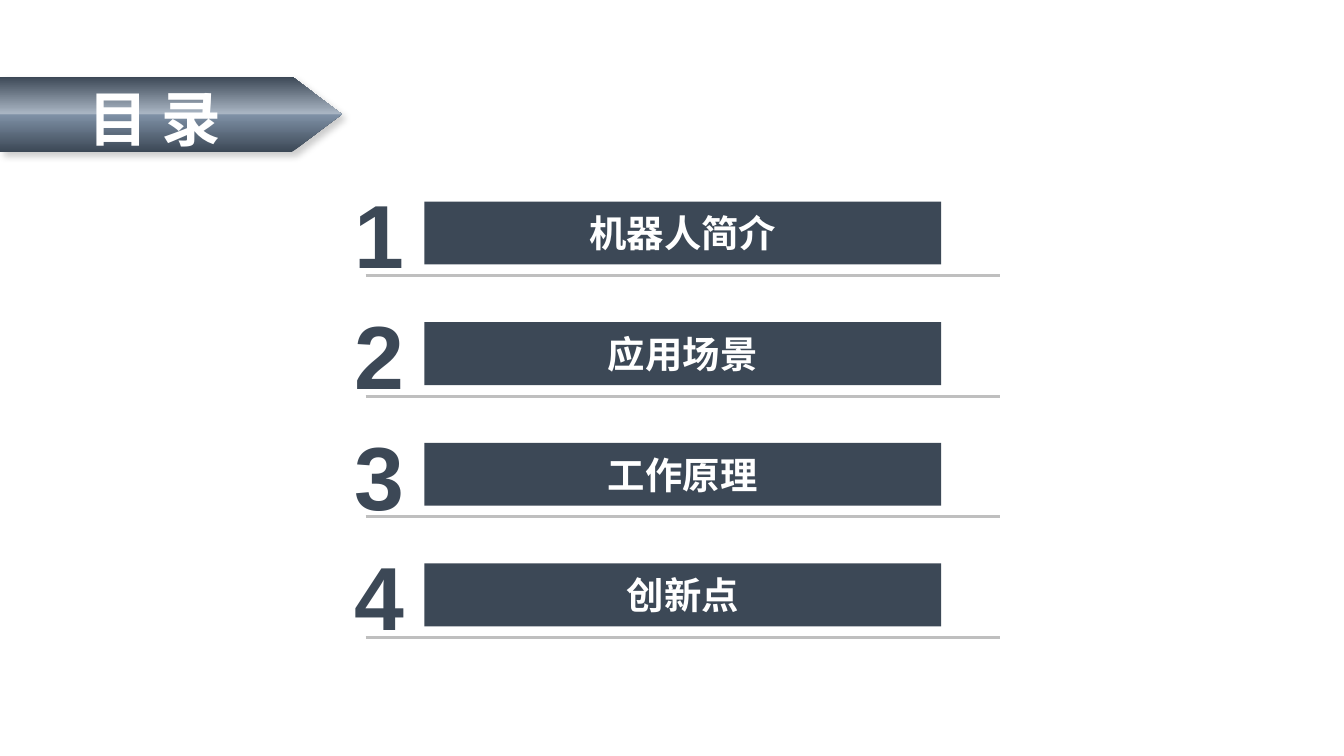
from lxml.etree import SubElement
from pptx import Presentation
from pptx.dml.color import RGBColor
from pptx.enum.shapes import MSO_CONNECTOR, MSO_SHAPE
from pptx.enum.text import MSO_ANCHOR, MSO_AUTO_SIZE, PP_ALIGN
from pptx.oxml import parse_xml
from pptx.oxml.ns import nsdecls, qn
from pptx.util import Cm, Pt

COLORS = {
    "slate": "3C4856",
    "steel": "7E90A5",
    "mist": "A9B5C3",
    "rule": "BFBFBF",
    "white": "FFFFFF",
    "shadow": "000000",
}
CJK = "Noto Sans CJK SC"
ITEMS = ["机器人简介", "应用场景", "工作原理", "创新点"]


def rgb(name):
    return RGBColor.from_string(COLORS[name])


def write(sp, text, size, color, font, align):
    tf = sp.text_frame
    tf.vertical_anchor = MSO_ANCHOR.MIDDLE
    p = tf.paragraphs[0]
    p.text = text
    p.alignment = align
    f = p.font
    f.size, f.bold, f.name = Pt(size), True, font
    f.color.rgb = rgb(color)
    SubElement(p._p.pPr.find(qn("a:defRPr")), qn("a:ea"), typeface=font)
    return tf


def style_banner(sp):
    stops = [(0, "slate"), (49, "steel"), (51, "mist"), (100, "slate")]
    gs = "".join(
        f'<a:gs pos="{pos * 1000}"><a:srgbClr val="{COLORS[c]}"/></a:gs>'
        for pos, c in stops
    )
    grad = parse_xml(
        f'<a:gradFill {nsdecls("a")} rotWithShape="1"><a:gsLst>{gs}</a:gsLst>'
        '<a:lin ang="16200000" scaled="0"/></a:gradFill>'
    )
    shadow = parse_xml(
        f'<a:effectLst {nsdecls("a")}><a:outerShdw blurRad="{Pt(4)}" '
        f'dist="{Pt(3)}" dir="2700000" algn="tl" rotWithShape="0">'
        f'<a:srgbClr val="{COLORS["shadow"]}"><a:alpha val="20000"/>'
        '</a:srgbClr></a:outerShdw></a:effectLst>'
    )
    sp.line.fill.background()
    spPr = sp.element.spPr
    spPr.find(qn("a:custGeom")).addnext(grad)
    spPr.append(shadow)


def add_banner(slide, x, y, w, h):
    shoulder = x + w - Cm(0.94)
    fb = slide.shapes.build_freeform(x, y)
    fb.add_line_segments(
        [(shoulder, y), (x + w, y + h // 2), (shoulder, y + h), (x, y + h)]
    )
    banner = fb.convert_to_shape()
    style_banner(banner)

    title = slide.shapes.title
    title.left, title.top, title.width, title.height = x, y, w, h
    tf = write(title, "目 录", 32, "white", CJK, PP_ALIGN.CENTER)
    tf.auto_size = MSO_AUTO_SIZE.NONE
    tf.margin_left = tf.margin_bottom = 0
    tf.margin_top, tf.margin_right = Cm(0.13), Cm(0.61)
    banner.element.addnext(title.element)


def add_item(slide, number, text, x, y, w, h):
    num = slide.shapes.add_textbox(x, y, Cm(1.47), h)
    tf = write(num, str(number), 48, "slate", "Arial", PP_ALIGN.LEFT)
    tf.word_wrap = False
    tf.auto_size = MSO_AUTO_SIZE.SHAPE_TO_FIT_TEXT

    bar = slide.shapes.add_shape(
        MSO_SHAPE.RECTANGLE, x + Cm(1.57), y + Cm(0.56), Cm(9.77), Cm(1.19)
    )
    bar.shadow.inherit = False
    bar.fill.solid()
    bar.fill.fore_color.rgb = rgb("slate")
    bar.line.fill.background()
    write(bar, text, 20, "white", CJK, PP_ALIGN.CENTER)

    rule_y = y + Cm(1.96)
    rule = slide.shapes.add_connector(
        MSO_CONNECTOR.STRAIGHT, x + Cm(0.46), rule_y, x + w, rule_y
    )
    rule.line.color.rgb = rgb("rule")
    rule.line.width = Pt(1.5)
    SubElement(rule.element.spPr, qn("a:effectLst"))


def add_contents(slide, x, y, w, pitch):
    for i, text in enumerate(ITEMS):
        add_item(slide, i + 1, text, x, y + i * pitch, w, Cm(2.31))


def main():
    prs = Presentation()
    prs.slide_width, prs.slide_height = Cm(25.4), Cm(14.29)
    slide = prs.slides.add_slide(prs.slide_layouts[5])
    add_contents(slide, Cm(6.45), Cm(3.25), Cm(12.45), Cm(2.28))
    add_banner(slide, Cm(0), Cm(1.45), Cm(6.46), Cm(1.42))
    prs.save("out.pptx")


if __name__ == "__main__":
    main()
